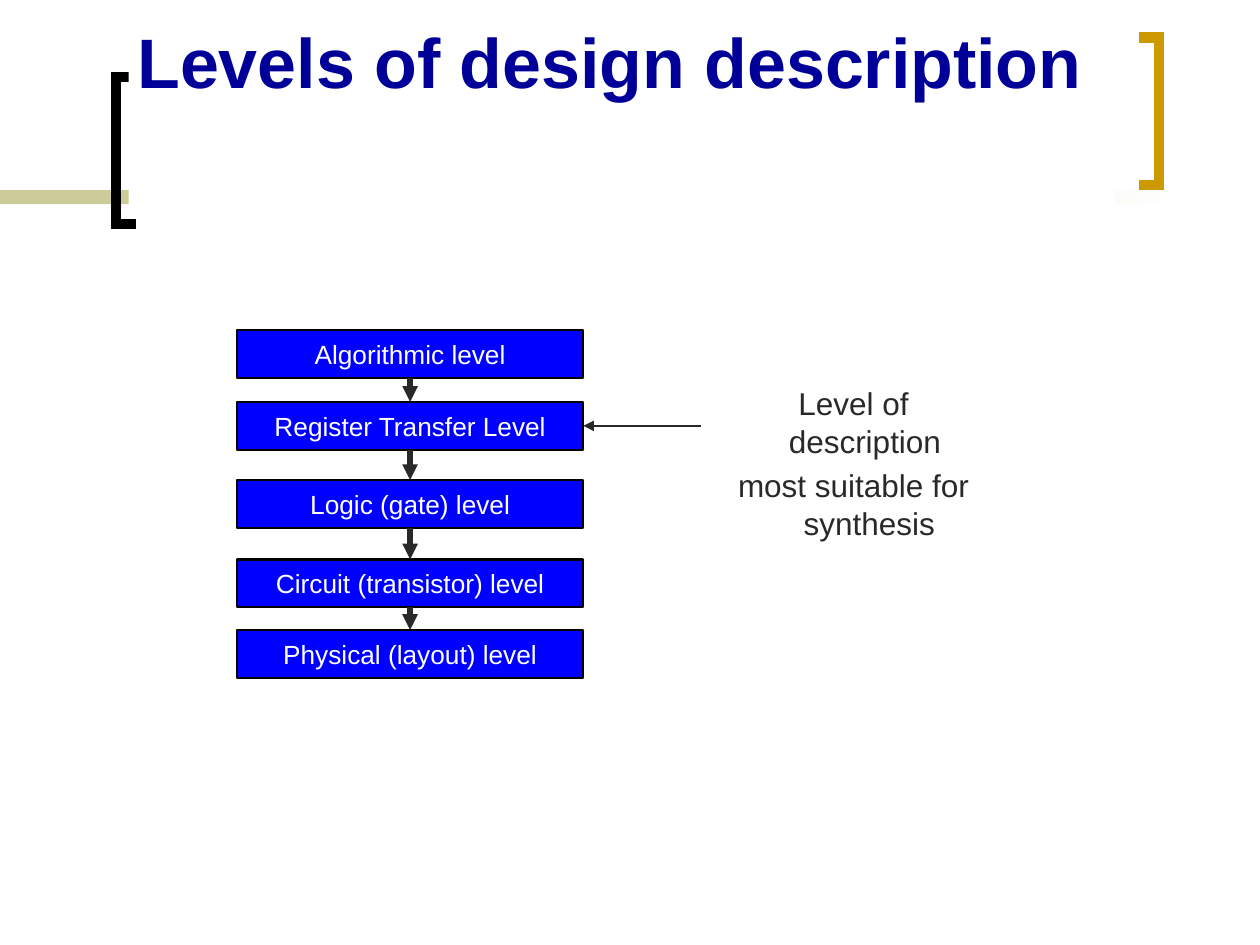
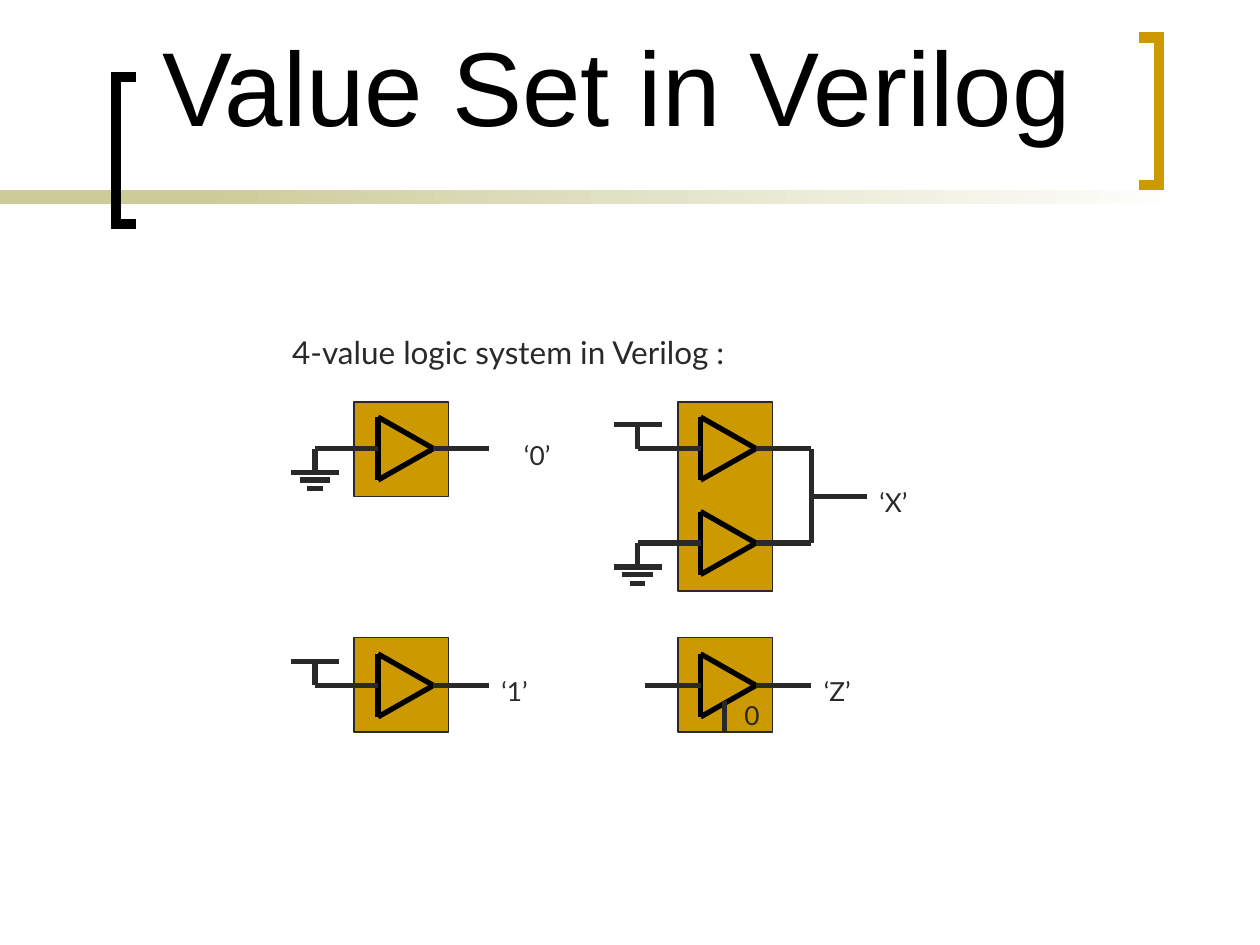
from pptx import Presentation
from pptx.dml.color import RGBColor
from pptx.enum.shapes import MSO_CONNECTOR, MSO_SHAPE
from pptx.enum.text import MSO_ANCHOR, MSO_AUTO_SIZE, PP_ALIGN
from pptx.oxml.ns import qn
from pptx.util import Inches, Pt
from lxml import etree

RECT = MSO_SHAPE.RECTANGLE
STRAIGHT = MSO_CONNECTOR.STRAIGHT
LEFT, CENTER = PP_ALIGN.LEFT, PP_ALIGN.CENTER
TOP, MIDDLE, BOTTOM = MSO_ANCHOR.TOP, MSO_ANCHOR.MIDDLE, MSO_ANCHOR.BOTTOM
NO_FIT = MSO_AUTO_SIZE.NONE


class Theme:
    white = RGBColor.from_string("FFFFFF")
    black = RGBColor.from_string("000000")
    ink = RGBColor.from_string("292929")
    navy = RGBColor.from_string("000099")
    blue = RGBColor.from_string("0000FF")
    gold = RGBColor.from_string("CC9900")
    sand = RGBColor.from_string("CCCC99")
    sans, plain = "Arial", "Lato"
    small, body = 15, 18


def block(slide, at, rows=(), fill=None, edge=None, width=0.75,
          size=Theme.small, font=Theme.plain, color=Theme.ink, align=LEFT):
    """Add a filled rectangle, or a text box when no fill is given."""
    place = [Inches(v) for v in at]
    if fill is None:
        shape = slide.shapes.add_textbox(*place)
    else:
        shape = slide.shapes.add_shape(RECT, *place)
        shape.shadow.inherit = False
        shape.fill.solid()
        shape.fill.fore_color.rgb = fill
        if edge is None:
            shape.line.fill.background()
        else:
            shape.line.color.rgb = edge
            shape.line.width = Pt(width)
    frame = shape.text_frame
    frame.word_wrap = fill is None
    frame.vertical_anchor = TOP if fill is None else MIDDLE
    for i, row in enumerate(rows):
        para = frame.add_paragraph() if i else frame.paragraphs[0]
        para.alignment = align
        run = para.add_run()
        run.text = row
        run.font.size = Pt(size)
        run.font.name = font
        run.font.color.rgb = color
    return shape


def wire(slide, x1, y1, x2, y2, color=Theme.ink, width=3, arrow=False):
    link = slide.shapes.add_connector(
        STRAIGHT, Inches(x1), Inches(y1), Inches(x2), Inches(y2))
    link.line.color.rgb = color
    link.line.width = Pt(width)
    props = link.element.spPr
    if arrow:
        etree.SubElement(props.find(qn("a:ln")), qn("a:tailEnd"), type="triangle")
    etree.SubElement(props, qn("a:effectLst"))
    return link


deck = Presentation()
deck.slide_width, deck.slide_height = Inches(10), Inches(7.5)
layout = deck.slide_layouts[5]
levels = deck.slides.add_slide(layout)
values = deck.slides.add_slide(layout)

# Shared frame: drawn once, then moved to the layout
frame = [block(levels, (0, 1.51, 2.33, 0.11), fill=Theme.sand),
         block(levels, (1.58, 1.51, 7.92, 0.11), fill=Theme.sand)]
fade = frame[1].fill
fade.gradient()
fade.gradient_angle = 0
for stop, spot, color in zip(fade.gradient_stops, (0, 1), (Theme.sand, Theme.white)):
    stop.position = spot
    stop.color.rgb = color

for tip, spine, top, color in ((1.08, 0.92, 0.61, Theme.black),
                               (9.04, 9.2, 0.3, Theme.gold)):
    low = top + 1.17
    pen = levels.shapes.build_freeform(Inches(tip), Inches(top))
    pen.add_line_segments(
        [(Inches(x), Inches(y)) for x, y in ((spine, top), (spine, low), (tip, low))],
        close=False)
    brace = pen.convert_to_shape()
    brace.shadow.inherit = False
    brace.fill.background()
    brace.line.color.rgb = color
    brace.line.width = Pt(6)
    etree.SubElement(brace.element.spPr.find(qn("a:ln")), qn("a:miter"), lim="800000")
    frame.append(brace)
for part in frame:
    layout.shapes.element.append(part.element)

# Titles
for slide, text, at, size, color, bold, anchor, pad in (
        (levels, "Levels of design description", (1.02, 0.11, 7.83, 1.55),
         40, Theme.navy, True, TOP, (0.07, 0.04)),
        (values, "Value Set in Verilog", (1.19, 0.54, 7.5, 0.68),
         60, Theme.black, False, BOTTOM, (0.1, 0.05))):
    title = slide.shapes.title
    title.left, title.top, title.width, title.height = [Inches(v) for v in at]
    words = title.text_frame
    words.auto_size = NO_FIT
    words.word_wrap = True
    words.vertical_anchor = anchor
    words.margin_left = words.margin_right = Inches(pad[0])
    words.margin_top = words.margin_bottom = Inches(pad[1])
    para = words.paragraphs[0]
    para.alignment = LEFT
    run = para.add_run()
    run.text = text
    run.font.name = Theme.sans
    run.font.size = Pt(size)
    run.font.bold = bold
    run.font.color.rgb = color
levels.shapes.title.fill.solid()
levels.shapes.title.fill.fore_color.rgb = Theme.white

# Slide 1: chain of levels
chain = [block(levels, (1.88, top, 2.75, 0.38), [name], Theme.blue, Theme.black,
               1.25, font=Theme.sans, color=Theme.white, align=CENTER)
         for name, top in (("Algorithmic level", 2.62),
                           ("Register Transfer Level", 3.19),
                           ("Logic (gate) level", 3.81),
                           ("Circuit (transistor) level", 4.44),
                           ("Physical (layout) level", 5))]
for upper, lower in zip(chain, chain[1:]):
    link = wire(levels, 3.25, 3, 3.25, 3.19, arrow=True)
    link.begin_connect(upper, 2)
    link.end_connect(lower, 0)
link = wire(levels, 5.56, 3.38, 4.63, 3.38, width=1.5, arrow=True)
link.end_connect(chain[1], 3)
note = block(levels, (4.61, 3, 3.33, 1.37),
             ["Level of description ", "most suitable for synthesis"],
             size=Theme.body, font=Theme.sans, align=CENTER)

# Slide 2: buffers that drive each of the four values
for left, top, height in ((2.81, 3.19, 0.75), (2.81, 5.06, 0.75),
                          (5.38, 3.19, 1.5), (5.38, 5.06, 0.75)):
    block(values, (left, top, 0.75, height), fill=Theme.gold, edge=Theme.ink)

BARS = {"ground": ((0.19, 0.19), (0.25, 0.12), (0.32, 0.06)),
        "supply": ((-0.19, 0.19),),
        "open": ()}
for x, y, source in ((3, 3.56, "ground"), (3, 5.44, "supply"),
                     (5.56, 3.56, "supply"), (5.56, 4.31, "ground"),
                     (5.56, 5.44, "open")):
    tip = x + 0.44
    corners = ((x, y - 0.25), (tip, y), (x, y + 0.25))
    for start, end in zip(corners, corners[1:] + corners[:1]):
        wire(values, *start, *end, color=Theme.black)
    wire(values, tip, y, tip + 0.44, y)
    bars = BARS[source]
    foot = x - (0.5 if bars else 0.44)
    wire(values, x, y, foot, y)
    if bars:
        wire(values, foot, y, foot, y + bars[0][0])
    for drop, half in bars:
        wire(values, foot - half, y + drop, foot + half, y + drop)

wire(values, 6.44, 3.56, 6.44, 4.31)
wire(values, 6.44, 3.94, 6.88, 3.94)
wire(values, 5.75, 5.56, 5.75, 5.81)

for text, left, top, width in (("‘0’", 4.06, 3.44, 0.69), ("‘1’", 3.88, 5.31, 0.88),
                               ("‘X’", 6.88, 3.81, 0.81), ("‘Z’", 6.44, 5.31, 0.81),
                               ("0", 5.81, 5.5, 0.44)):
    block(values, (left, top, width, 0.35), [text])
lead = block(values, (2.22, 2.59, 6.38, 3.38),
             ["4-value logic system in Verilog :"], size=Theme.body)

# Hanging indents
for box, margin, hang in ((note, 1.25, 0.25), (lead, 0.38, 0.38)):
    for para in box.text_frame.paragraphs:
        para.space_before = Pt(3.6)
        props = para._p.get_or_add_pPr()
        props.set("marL", str(Inches(margin)))
        props.set("indent", str(-Inches(hang)))

deck.save("out.pptx")
